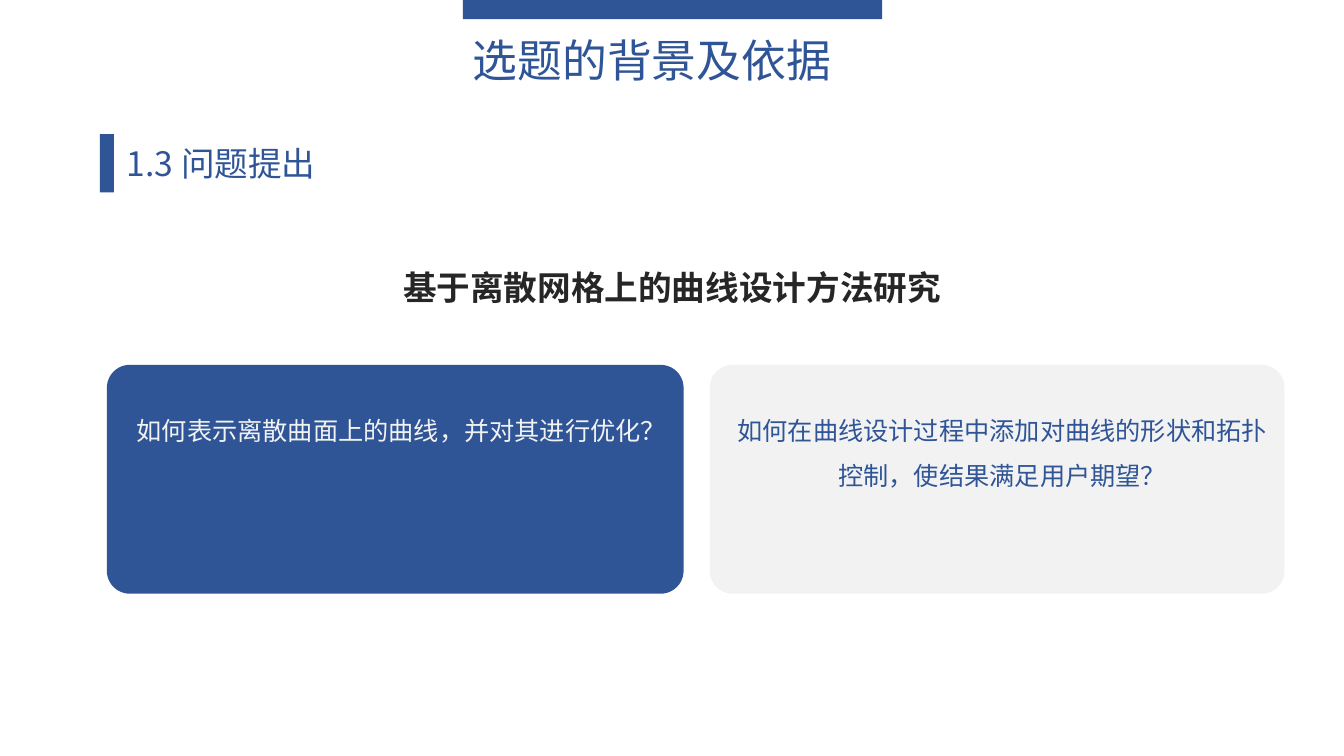
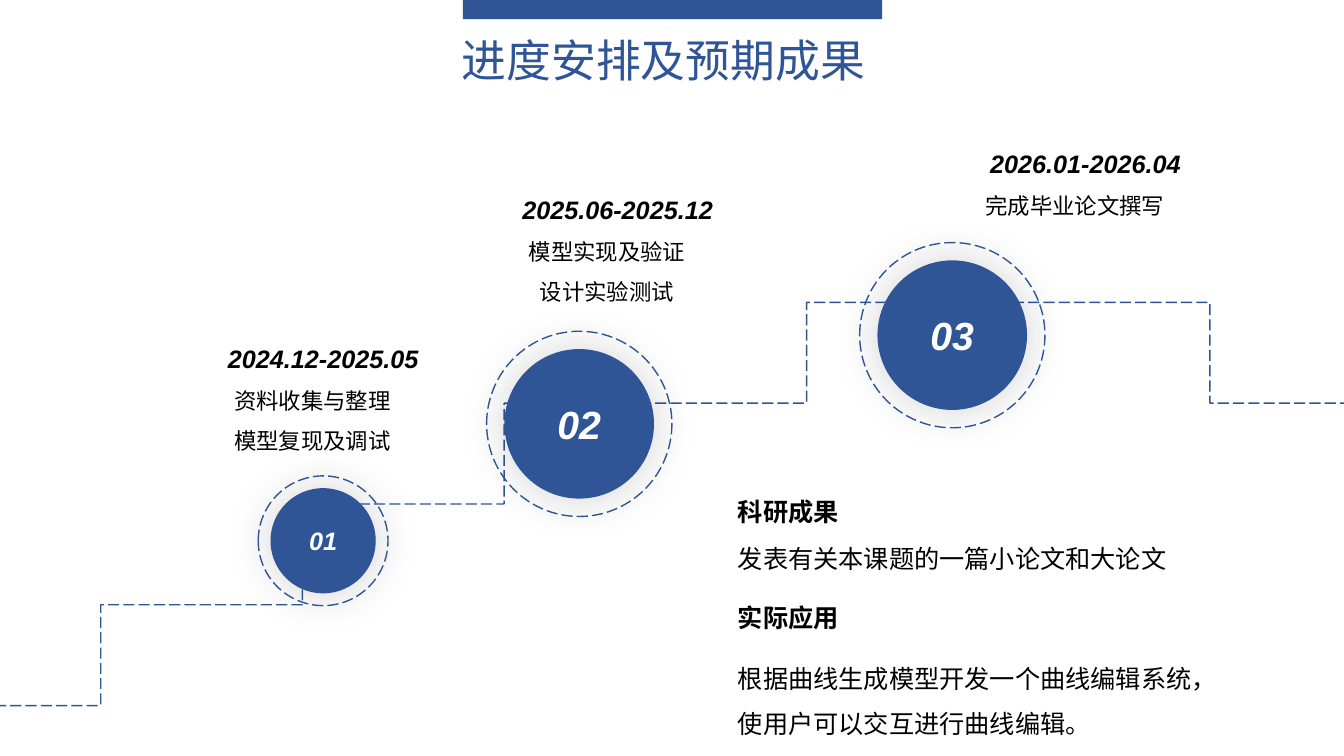
from lxml.etree import SubElement as Sub
from pptx import Presentation
from pptx.dml.color import RGBColor
from pptx.enum.dml import MSO_LINE
from pptx.enum.shapes import MSO_SHAPE as Kind
from pptx.enum.text import MSO_ANCHOR as Anchor, MSO_AUTO_SIZE as Fit, PP_ALIGN as Align
from pptx.oxml.ns import qn
from pptx.util import Inches, Pt

BLUE = RGBColor(0x2F, 0x55, 0x97)
PALE = RGBColor(0xF2, 0xF2, 0xF2)
DARK = RGBColor(0x26, 0x26, 0x26)
BLACK = RGBColor(0, 0, 0)
WHITE = RGBColor(255, 255, 255)
NOTO, LATIN = "Noto Sans CJK SC", "Arial"

# Text formats
TITLE = dict(size=Pt(32), name=NOTO, color=BLUE)
HEAD = dict(size=Pt(24), name=NOTO, color=BLUE)
TOPIC = dict(size=Pt(24), name=NOTO, color=DARK, bold=True)
BODY = dict(size=Pt(18), name=NOTO, color=BLACK)
LABEL = dict(size=Pt(18), name=LATIN, color=BLACK, bold=True)
DATE = dict(LABEL, italic=True)
TASK = dict(size=Pt(16), name=LATIN, color=BLACK)


# Shared helpers
def write(frame, lines, style, **para):
    for i, line in enumerate(lines):
        p = frame.add_paragraph() if i else frame.paragraphs[0]
        for key, value in para.items():
            setattr(p, key, value)
        run = p.add_run()
        run.text = line
        for key, value in style.items():
            if key == "color":
                run.font.color.rgb = value
            else:
                setattr(run.font, key, value)
        Sub(run.font._element, qn("a:ea"), typeface=NOTO)


def text(slide, box, lines, style, align=Align.LEFT, space=1.5):
    frame = slide.shapes.add_textbox(*map(Inches, box)).text_frame
    frame.word_wrap = True
    frame.auto_size = Fit.SHAPE_TO_FIT_TEXT
    write(frame, lines, style, alignment=align, line_spacing=space)


def dash(shape):
    shape.shadow.inherit = False
    shape.fill.background()
    shape.line.color.rgb = BLUE
    shape.line.width = Pt(1)
    shape.line.dash_style = MSO_LINE.LONG_DASH


def block(slide, kind, box, fill):
    shape = slide.shapes.add_shape(kind, *map(Inches, box))
    shape.shadow.inherit = False
    shape.fill.solid()
    shape.fill.fore_color.rgb = fill
    shape.line.fill.background()
    return shape


def glow(shape):
    effects = shape._element.spPr.find(qn("a:effectLst"))
    outer = Sub(effects, qn("a:outerShdw"), blurRad=str(Pt(32)), dist="0",
                dir="0", algn="ctr", rotWithShape="0")
    color = Sub(outer, qn("a:srgbClr"), val=str(DARK))
    Sub(color, qn("a:alpha"), val="20000")


def start(deck, title, left, width):
    slide = deck.slides.add_slide(deck.slide_layouts[6])
    block(slide, Kind.RECTANGLE, (4.59, 0, 4.16, 0.19), BLUE)
    text(slide, (left, 0.28, width, 0.64), [title], TITLE, Align.JUSTIFY, 1.0)
    return slide


# Question slide
def section(slide, x, y, label):
    block(slide, Kind.RECTANGLE, (x, y, 0.14, 0.58), BLUE)
    text(slide, (x + 0.17, y + 0.04, 4.16, 0.5), [label], HEAD, space=1.0)


def card(slide, box, inset, width, fill, color, line):
    x, y = box[:2]
    block(slide, Kind.ROUNDED_RECTANGLE, box, fill).adjustments[0] = 0.1
    text(slide, (x + inset, y + 0.3, width, 0.55), [line],
         dict(BODY, color=color), Align.CENTER)


def ask(deck):
    slide = start(deck, "选题的背景及依据", 4.59, 4.16)
    section(slide, 0.99, 1.33, "1.3 问题提出")
    text(slide, (0.91, 2.4, 11.51, 0.64),
         ["基于离散网格上的曲线设计方法研究"], TOPIC, Align.CENTER)
    card(slide, (1.06, 3.62, 5.72, 2.27), 0.07, 5.7, BLUE, PALE,
         "如何表示离散曲面上的曲线，并对其进行优化？")
    card(slide, (7.04, 3.62, 5.7, 2.27), 0.15, 5.5, PALE, BLUE,
         "如何在曲线设计过程中添加对曲线的形状和拓扑控制，使结果满足用户期望？")


# Schedule slide
def curve(slide, knots, steps=40):
    """Draw a chain of cubic curves through every third knot."""
    points = []
    for i in range(0, len(knots) - 1, 3):
        for k in range(1, steps + 1):
            t = k / steps
            parts = ((1 - t) ** 3, 3 * t * (1 - t) ** 2,
                     3 * t * t * (1 - t), t ** 3)
            points.append(tuple(
                sum(w * knot[axis] for w, knot in zip(parts, knots[i:i + 4]))
                for axis in (0, 1)))
    pen = slide.shapes.build_freeform(*knots[0], scale=Inches(1))
    pen.add_line_segments(points, close=False)
    dash(pen.convert_to_shape())


def stage(slide, x, y, size, number, points):
    dot = block(slide, Kind.OVAL, (x, y, size, size), BLUE)
    dot.line.color.rgb = BLUE
    dot.line.width = Pt(1)
    glow(dot)
    dot.text_frame.vertical_anchor = Anchor.MIDDLE
    write(dot.text_frame, [number], dict(DATE, size=Pt(points), color=WHITE),
          alignment=Align.CENTER)
    # The ring is a quarter wider than its dot
    gap, ring = size / 8, size * 1.25
    dash(slide.shapes.add_shape(
        Kind.OVAL, *map(Inches, (x - gap, y - gap, ring, ring))))


def term(slide, x, y, date, tasks):
    text(slide, (x, y, 2.49, 0.55), [date], DATE, Align.CENTER)
    text(slide, (x, y + 0.45, 2.28, 0.5), tasks, TASK, Align.CENTER)


def result(slide, x, y, drop, label, line):
    text(slide, (x, y, 3.14, 0.5), [label], LABEL)
    text(slide, (x, y + drop, 4.81, 0.5), [line], BODY)


def plan(deck):
    slide = start(deck, "进度安排及预期成果", 4.48, 4.38)
    curve(slide, [(-0.7, 7.52), (2.63, 5.69), (5.96, 3.85), (8.49, 3.37),
                  (11.03, 2.9), (12.77, 3.78), (14.51, 4.67)])
    for spot in [(2.69, 4.85, 1.03, "01", 18), (5.01, 3.47, 1.47, "02", 28),
                 (8.71, 2.59, 1.47, "03", 28)]:
        stage(slide, *spot)
    for item in [
        (1.96, 3.21, "2024.12-2025.05", ["资料收集与整理", "模型复现及调试"]),
        (4.88, 1.73, "2025.06-2025.12", ["模型实现及验证", "设计实验测试"]),
        (9.52, 1.27, "2026.01-2026.04", ["完成毕业论文撰写"]),
    ]:
        term(slide, *item)
    result(slide, 7.22, 4.72, 0.47, "科研成果",
           "发表有关本课题的一篇小论文和大论文")
    result(slide, 7.22, 5.78, 0.6, "实际应用",
           "根据曲线生成模型开发一个曲线编辑系统，使用户可以交互进行曲线编辑。")


def main():
    deck = Presentation()
    deck.slide_width, deck.slide_height = Inches(13.33), Inches(7.5)
    ask(deck)
    plan(deck)
    deck.save("out.pptx")


if __name__ == "__main__":
    main()
